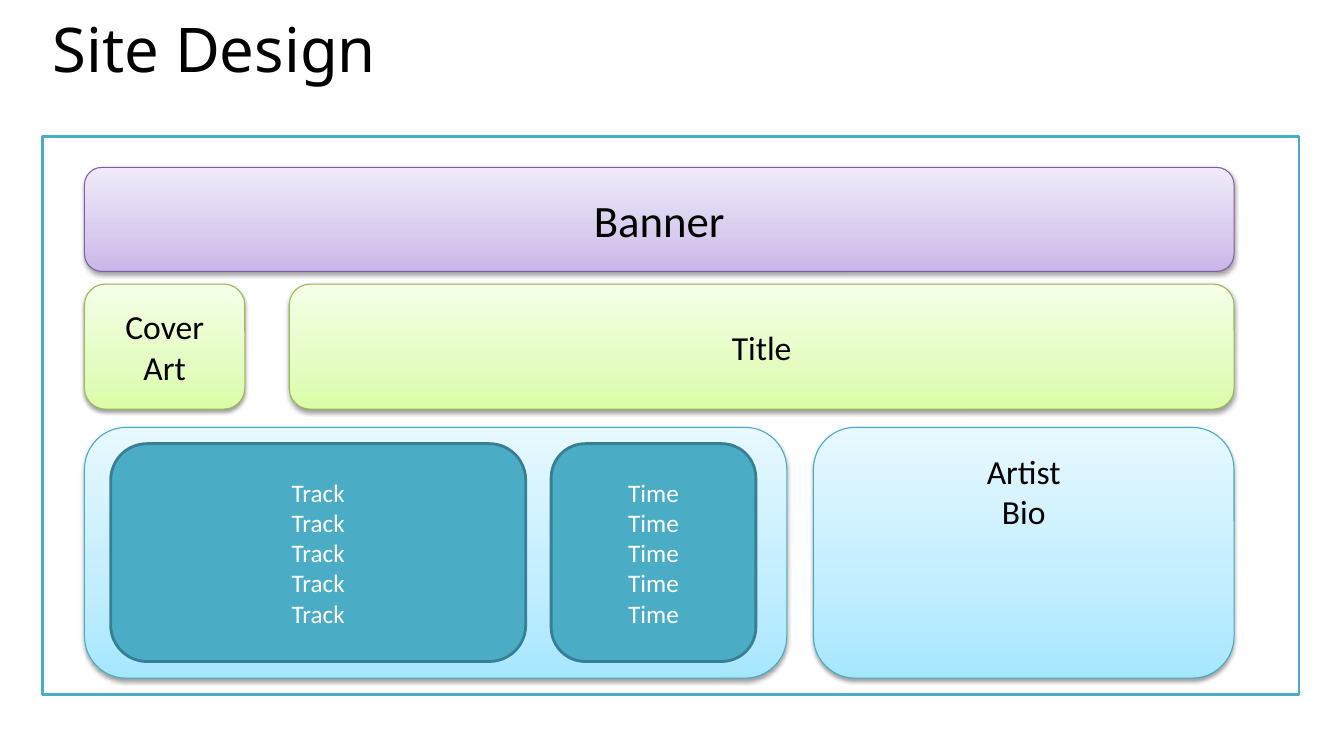
import pptx
import pptx.util
import pptx.dml.color
import pptx.enum.shapes
import pptx.enum.text
import pptx.oxml
import pptx.oxml.ns

Cm = pptx.util.Cm
Pt = pptx.util.Pt
RGB = pptx.dml.color.RGBColor.from_string
SHAPE = pptx.enum.shapes.MSO_SHAPE
ANCHOR = pptx.enum.text.MSO_ANCHOR
ALIGN = pptx.enum.text.PP_ALIGN
NS = pptx.oxml.ns.nsdecls("a")

COLORS = {
    "white": "FFFFFF", "black": "000000",
    "teal": "4BACC6", "teal_edge": "377F92",
    "purple_edge": "7D60A0", "green_edge": "98B955", "blue_edge": "46AAC5",
}
GRADIENTS = {
    "purple": ("C9B5E8", "D8CBEE", "F0EAF9"),
    "green": ("DAFDA7", "E4FCC2", "F5FFE7"),
    "blue": ("A7E6FF", "C1EDFF", "E7F8FF"),
}


def write(tf, lines, size, font, color, align):
    tf.word_wrap = True
    for i, line in enumerate(lines):
        p = tf.paragraphs[0] if i == 0 else tf.add_paragraph()
        p.alignment = align
        r = p.add_run()
        r.text = line
        r.font.size = Pt(size)
        r.font.name = font
        r.font.color.rgb = RGB(COLORS[color])


def add_box(kind, at, fill, edge, weight):
    sp = s.shapes.add_shape(kind, *[Cm(v) for v in at])
    sp.line.color.rgb = RGB(COLORS[edge])
    sp.line.width = Pt(weight)
    sp.shadow.inherit = False
    if fill in COLORS:
        sp.fill.solid()
        sp.fill.fore_color.rgb = RGB(COLORS[fill])
        return sp
    sp.fill.gradient()
    sp.fill.gradient_angle = 90
    spPr = sp._element.spPr
    stops = spPr.find(".//" + pptx.oxml.ns.qn("a:gsLst"))
    for gs in list(stops):
        stops.remove(gs)
    for pos, color in zip((0, 35000, 100000), GRADIENTS[fill]):
        stops.append(pptx.oxml.parse_xml(
            f'<a:gs {NS} pos="{pos}"><a:srgbClr val="{color}"/></a:gs>'))
    spPr.find(pptx.oxml.ns.qn("a:effectLst")).append(pptx.oxml.parse_xml(
        f'<a:outerShdw {NS} blurRad="40000" dist="20000" dir="5400000" rotWithShape="0">'
        '<a:srgbClr val="000000"><a:alpha val="38000"/></a:srgbClr></a:outerShdw>'))
    return sp


prs = pptx.Presentation()
prs.slide_width = Cm(33.87)
prs.slide_height = Cm(19.05)
s = prs.slides.add_slide(prs.slide_layouts[6])

title = s.shapes.add_textbox(Cm(1.07), Cm(0.5), Cm(32), Cm(2.95))
write(title.text_frame, ["Site Design"], 44, "Noto Sans", "black", ALIGN.LEFT)
title.text_frame.paragraphs[0].line_spacing = 0.8

add_box(SHAPE.RECTANGLE, (1.07, 3.45, 31.67, 14.05), "white", "teal", 2)

left, right = 2.13, 31.1
head_y, head_h = 7.16, 3.15
body_y, body_h = 10.77, 6.32
list_y, list_h = 11.18, 5.49
title_x, bio_x = 7.29, 20.5

blocks = [
    ((left, 4.22, right - left, 2.62), "purple", "purple_edge", 0.75, ["Banner"], 32, "black"),
    ((left, head_y, 4.04, head_h), "green", "green_edge", 0.75, ["Cover Art"], 24, "black"),
    ((title_x, head_y, right - title_x, head_h), "green", "green_edge", 0.75, ["Title"], 24, "black"),
    ((left, body_y, 17.7, body_h), "blue", "blue_edge", 0.75, [], 24, "black"),
    ((2.79, list_y, 10.46, list_h), "teal", "teal_edge", 2, ["Track"] * 5, 18, "white"),
    ((13.89, list_y, 5.16, list_h), "teal", "teal_edge", 2, ["Time"] * 5, 18, "white"),
    ((bio_x, body_y, right - bio_x, body_h), "blue", "blue_edge", 0.75, ["Artist", "Bio"], 24, "black"),
]
for at, fill, edge, weight, lines, size, color in blocks:
    sp = add_box(SHAPE.ROUNDED_RECTANGLE, at, fill, edge, weight)
    tf = sp.text_frame
    tf.vertical_anchor = ANCHOR.MIDDLE
    write(tf, lines, size, "Calibri", color, ALIGN.CENTER)

bio = tf
bio.vertical_anchor = ANCHOR.TOP
bio.margin_top = Cm(0.28)

prs.save("out.pptx")
